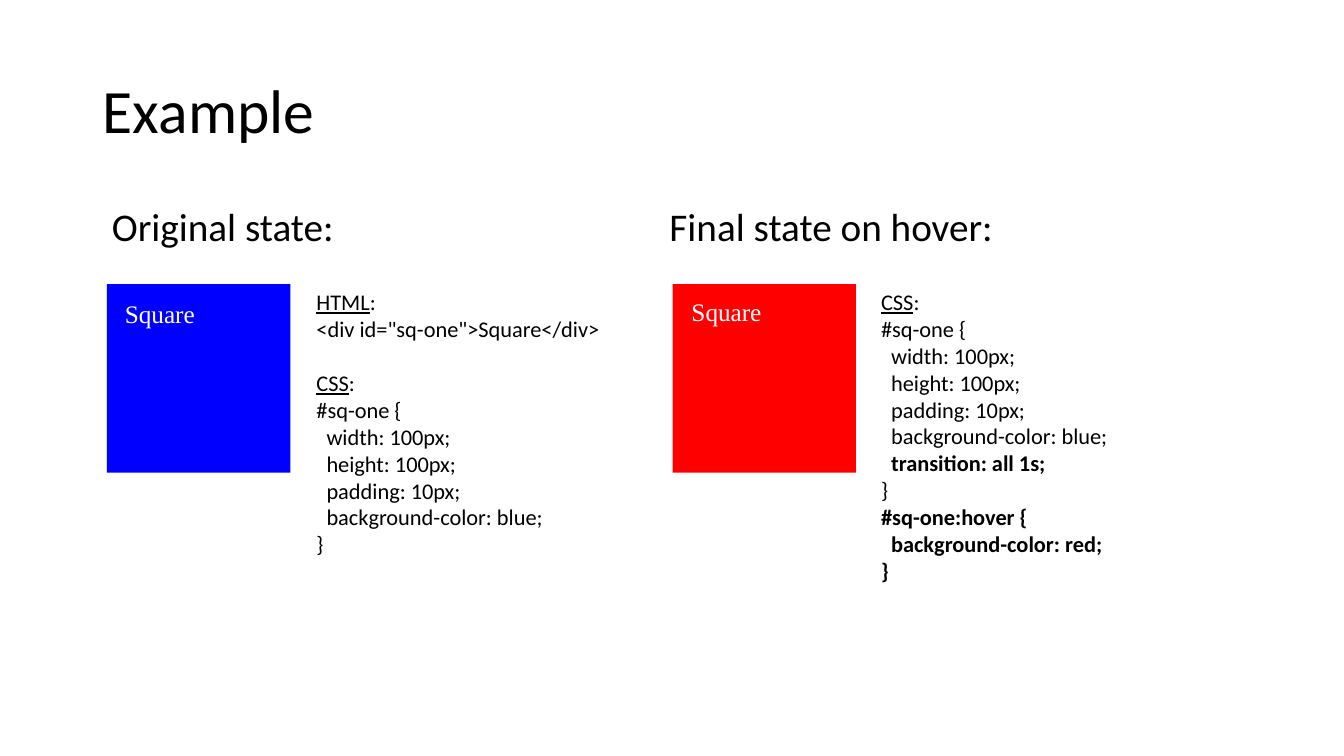
from dataclasses import dataclass

from lxml import etree
from pptx import Presentation
from pptx.dml.color import RGBColor
from pptx.enum.shapes import MSO_SHAPE
from pptx.enum.text import MSO_ANCHOR, MSO_AUTO_SIZE, PP_ALIGN
from pptx.oxml.ns import qn
from pptx.util import Inches, Pt

RECTANGLE = MSO_SHAPE.RECTANGLE
TOP = MSO_ANCHOR.TOP
MIDDLE = MSO_ANCHOR.MIDDLE
NO_AUTOFIT = MSO_AUTO_SIZE.NONE
GROW = MSO_AUTO_SIZE.SHAPE_TO_FIT_TEXT
LEFT = PP_ALIGN.LEFT

COLOURS = {"text": "000000", "label": "FFFFFF", "blue": "0000FF", "red": "FF0000"}
BODY_FONT = "Calibri"
LABEL_FONT = "Times New Roman"
CODE_INDENT = Inches(0.1)
SECTION_GAP = Pt(19.5)
TWO_CONTENT_LAYOUT = 3


@dataclass(frozen=True)
class CodeLine:
    text: str
    indented: bool = False
    bold: bool = False
    heading: bool = False


@dataclass(frozen=True)
class State:
    heading: str
    heading_left: float
    heading_width: float
    left: float
    colour: str
    label_left: float
    label_top: float
    code_left: float
    code_height: float
    code: tuple[CodeLine, ...]


BASE_RULE = (
    CodeLine("CSS", heading=True),
    CodeLine("#sq-one {"),
    CodeLine("width: 100px;", indented=True),
    CodeLine("height: 100px;", indented=True),
    CodeLine("padding: 10px;", indented=True),
    CodeLine("background-color: blue;", indented=True),
)
ORIGINAL_CODE = (
    CodeLine("HTML", heading=True),
    CodeLine('<div id="sq-one">Square</div>'),
    *BASE_RULE,
    CodeLine("}"),
)
HOVER_CODE = (
    *BASE_RULE,
    CodeLine("transition: all 1s;", indented=True, bold=True),
    CodeLine("}"),
    CodeLine("#sq-one:hover {", bold=True),
    CodeLine("background-color: red;", indented=True, bold=True),
    CodeLine("}", bold=True),
)
STATES = (
    State("Original state:", 1.01, 5.53, 1.06, "blue", 1.14, 2.91, 3.04, 3.1, ORIGINAL_CODE),
    State("Final state on hover:", 6.54, 5.97, 6.67, "red", 6.76, 2.89, 8.64, 3.37, HOVER_CODE),
)


def add_run(para, text: str, size: float, font: str = BODY_FONT,
            colour: str = "text", bold: bool = False, underline: bool = False) -> None:
    span = para.add_run()
    span.text = text
    span.font.size = Pt(size)
    span.font.name = font
    span.font.bold = bold
    span.font.underline = underline
    span.font.color.rgb = RGBColor.from_string(COLOURS[colour])


def fill_placeholder(box, left: float, top: float, width: float, height: float,
                     text: str, size: float, anchor):
    box.left, box.top = Inches(left), Inches(top)
    box.width, box.height = Inches(width), Inches(height)
    frame = box.text_frame
    frame.auto_size = NO_AUTOFIT
    frame.vertical_anchor = anchor
    para = frame.paragraphs[0]
    para.alignment = LEFT
    para.line_spacing = 0.9
    add_run(para, text, size)
    return para


def add_heading(box, state: State) -> None:
    para = fill_placeholder(box, state.heading_left, 2.01, state.heading_width, 4.76,
                            state.heading, 28, TOP)
    para.space_before = Pt(10)
    properties = para._p.get_or_add_pPr()
    properties.set("marL", "0")
    properties.set("indent", "0")
    etree.SubElement(properties, qn("a:buNone"))


def add_text_frame(page, left: float, top: float, width: float, height: float):
    box = page.shapes.add_textbox(Inches(left), Inches(top), Inches(width), Inches(height))
    box.text_frame.word_wrap = True
    box.text_frame.auto_size = GROW
    return box.text_frame


def add_code(page, state: State) -> None:
    frame = add_text_frame(page, state.code_left, 2.81, 3.21, state.code_height)
    for index, line in enumerate(state.code):
        para = frame.add_paragraph() if index else frame.paragraphs[0]
        if line.indented:
            para._p.get_or_add_pPr().set("marL", str(CODE_INDENT))
        if line.heading and index:
            para.space_before = SECTION_GAP
        add_run(para, line.text, 16, bold=line.bold, underline=line.heading)
        if line.heading:
            add_run(para, ":", 16)


def add_state(page, state: State) -> None:
    square = page.shapes.add_shape(
        RECTANGLE, Inches(state.left), Inches(2.82), Inches(1.82), Inches(1.87))
    square.shadow.inherit = False
    square.fill.solid()
    square.fill.fore_color.rgb = RGBColor.from_string(COLOURS[state.colour])
    square.line.fill.background()
    label = add_text_frame(page, state.label_left, state.label_top, 1.32, 0.4)
    add_run(label.paragraphs[0], "Square", 18, LABEL_FONT, "label")
    add_code(page, state)


def main() -> None:
    deck = Presentation()
    deck.slide_width, deck.slide_height = Inches(13.33), Inches(7.5)
    page = deck.slides.add_slide(deck.slide_layouts[TWO_CONTENT_LAYOUT])
    fill_placeholder(page.shapes.title, 0.92, 0.4, 11.5, 1.45, "Example", 44, MIDDLE)
    for index, state in enumerate(STATES, start=1):
        add_heading(page.placeholders[index], state)
        add_state(page, state)
    deck.save("out.pptx")


if __name__ == "__main__":
    main()
